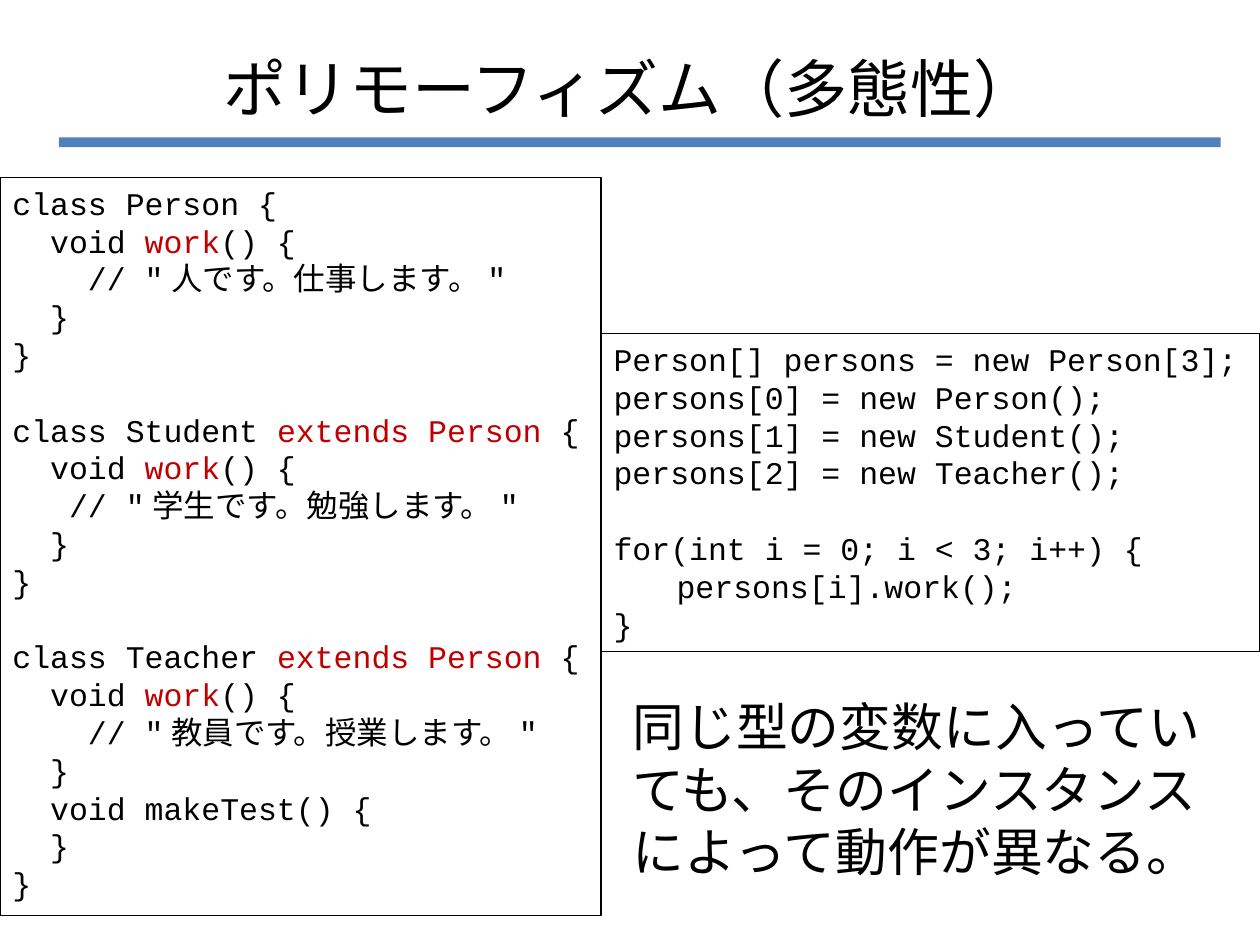
from pptx import Presentation, util as u
from pptx.dml.color import RGBColor
from pptx.enum import shapes, text
from pptx.oxml.ns import qn

BLACK = RGBColor(0x00, 0x00, 0x00)
RED = RGBColor(0xC0, 0x00, 0x00)
BLUE = RGBColor(0x4F, 0x81, 0xBD)
LATIN, CODE, JAPANESE = "Arial", "Courier New", "Noto Sans CJK JP"
LEADING = 1.2  # line pitch as a multiple of the text size

# Content: parts between bars are red, each block is set off by one line
TITLE = "ポリモーフィズム（多態性）"
SUMMARY = "同じ型の変数に入っていても、そのインスタンスによって動作が異なる。"
CLASSES = [
    ["class Person {",
     "  void |work|() {",
     "    // \"人です。仕事します。\"",
     "  }",
     "}"],
    ["class Student |extends Person |{",
     "  void |work|() {",
     "   // \"学生です。勉強します。\"",
     "  }",
     "}"],
    ["class Teacher |extends Person |{",
     "  void |work|() {",
     "    // \"教員です。授業します。\"",
     "  }",
     "  void makeTest() {",
     "  }",
     "}"],
]
USAGE = [
    ["Person[] persons = new Person[3];",
     "persons[0] = new Person();",
     "persons[1] = new Student();",
     "persons[2] = new Teacher();"],
    ["for(int i = 0; i < 3; i++) {",
     "\tpersons[i].work();",
     "}"],
]
# Left, top, width, height in cm
TITLE_AT = (1.27, 0.76, 22.86, 2.01)
RULE_AT = (1.19, 2.77, 23.42, 0.2)
SUMMARY_AT = (12.5, 13.89, 12.5, 4.37)
CODE_BOXES = [
    (CLASSES, (0, 3.58, 12.12, 14.88)),
    (USAGE, (12.12, 6.73, 13.28, 6.4)),
]


def cm(box):
    return [u.Cm(length) for length in box]


def add_run(paragraph, words, size, font, color=BLACK):
    run = paragraph.add_run()
    run.text = words
    run.font.size = u.Pt(size)
    run.font.name = font
    run.font.color.rgb = color
    east_asian = run.font._element.makeelement(qn("a:ea"), {"typeface": JAPANESE})
    run.font._element.find(qn("a:latin")).addnext(east_asian)


def add_rectangle(slide, box):
    rectangle = slide.shapes.add_shape(shapes.MSO_SHAPE.RECTANGLE, *cm(box))
    rectangle.shadow.inherit = False
    return rectangle


def add_code(slide, blocks, box, size=18):
    panel = add_rectangle(slide, box)
    panel.fill.background()
    panel.line.color.rgb = BLACK
    panel.line.width = u.Pt(0.75)
    frame = panel.text_frame
    frame.word_wrap = True
    frame.vertical_anchor = text.MSO_ANCHOR.TOP
    pitch = u.Pt(size * LEADING)
    paragraph = None
    for block in blocks:
        for number, line in enumerate(block):
            first = paragraph is None
            paragraph = frame.paragraphs[0] if first else frame.add_paragraph()
            paragraph.alignment = text.PP_ALIGN.LEFT
            paragraph.line_spacing = pitch
            if number == 0 and not first:
                paragraph.space_before = pitch
            for part, words in enumerate(line.split("|")):
                add_run(paragraph, words, size, CODE, RED if part % 2 else BLACK)


def main():
    deck = Presentation()
    deck.slide_width, deck.slide_height = u.Cm(25.4), u.Cm(19.05)
    slide = deck.slides.add_slide(deck.slide_layouts[5])

    # Title and the rule below it
    title = slide.shapes.title
    title.left, title.top, title.width, title.height = cm(TITLE_AT)
    title.text_frame.vertical_anchor = text.MSO_ANCHOR.MIDDLE
    heading = title.text_frame.paragraphs[0]
    heading.alignment = text.PP_ALIGN.CENTER
    add_run(heading, TITLE, 36, LATIN)
    rule = add_rectangle(slide, RULE_AT)
    rule.fill.solid()
    rule.fill.fore_color.rgb = BLUE
    rule.line.fill.background()

    # Summary
    summary = slide.shapes.add_textbox(*cm(SUMMARY_AT)).text_frame
    summary.word_wrap = True
    sentence = summary.paragraphs[0]
    sentence.line_spacing = u.Pt(29.6 * LEADING)
    add_run(sentence, SUMMARY, 29.6, JAPANESE)

    # Code panels
    for blocks, box in CODE_BOXES:
        add_code(slide, blocks, box)

    deck.save("out.pptx")


if __name__ == "__main__":
    main()
